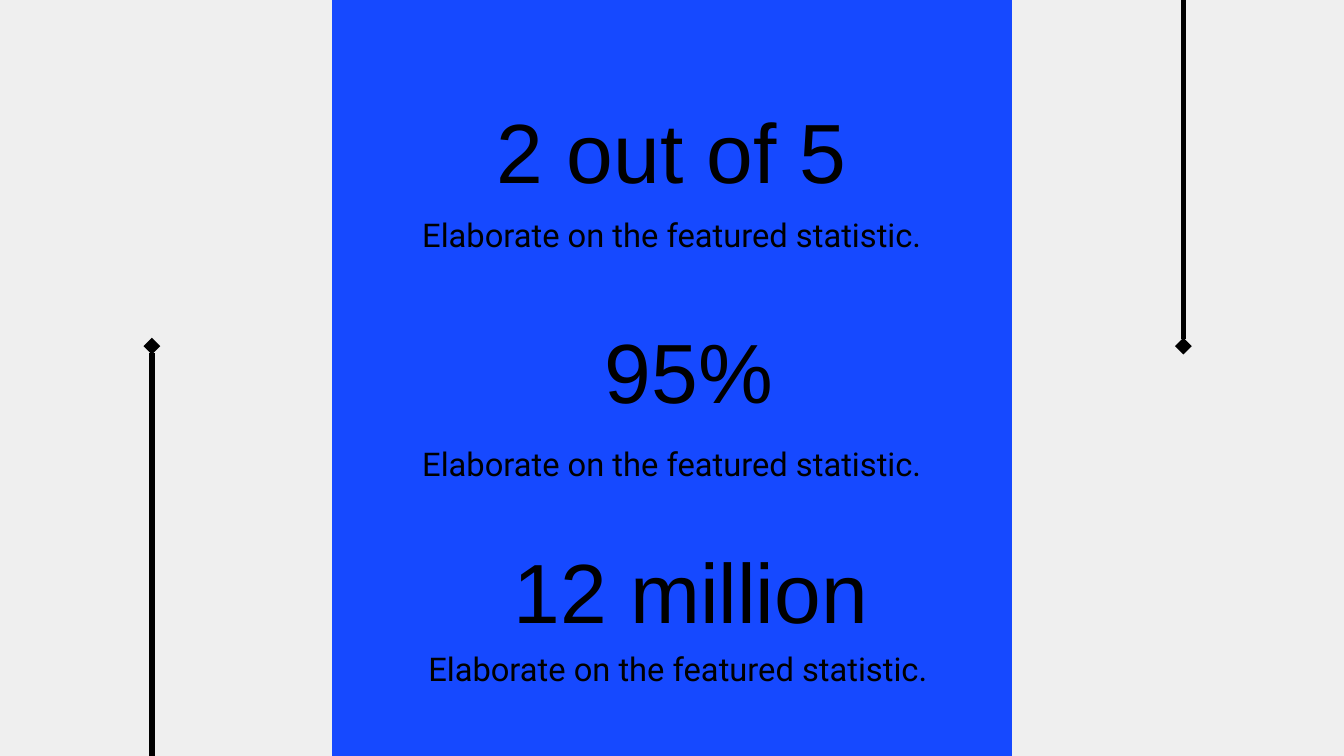
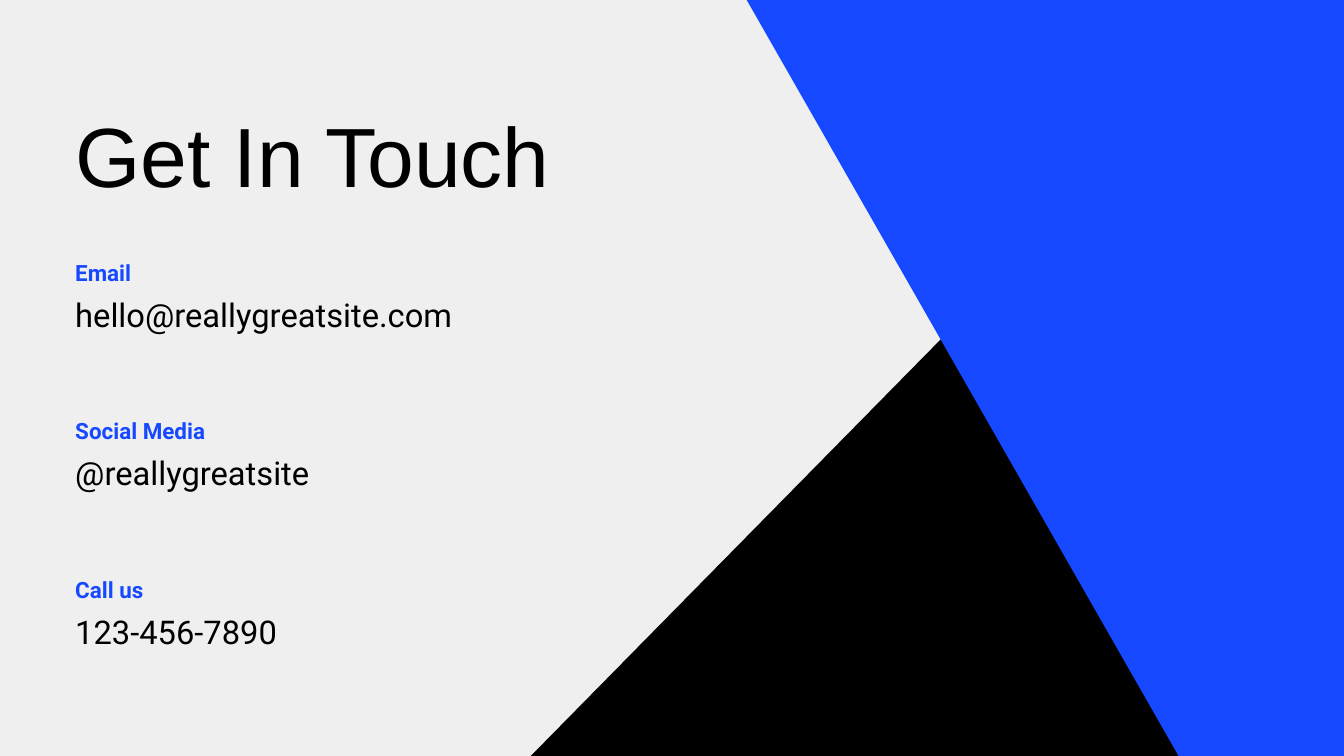
from lxml import etree
from pptx import Presentation, util as u
from pptx.dml.color import RGBColor
from pptx.enum import shapes, text
from pptx.oxml import ns

WIDTH, HEIGHT = 20, 11.25
PAPER, BLUE, BLACK = "EFEFEF", "1649FF", "000000"
DISPLAY, BODY = "Arial", "Roboto"
DISPLAY_SIZE, BODY_SIZE, LABEL_SIZE = 90, 35, 24


def color(hex_code):
    return RGBColor.from_string(hex_code)


def new_slide(deck):
    slide = deck.slides.add_slide(deck.slide_layouts[6])
    slide.background.fill.solid()
    slide.background.fill.fore_color.rgb = color(PAPER)
    return slide


def add_text(slide, box, words, size, font=BODY, hue=BLACK, spacing=1.4,
             centered=False, bold=False, inset=0, middle=False):
    holder = slide.shapes.add_textbox(*map(u.Inches, box))
    frame = holder.text_frame
    frame.word_wrap = True
    frame.margin_left = frame.margin_right = u.Inches(inset)
    frame.margin_top = frame.margin_bottom = u.Inches(inset)
    if middle:
        frame.vertical_anchor = text.MSO_ANCHOR.MIDDLE
    else:
        frame.auto_size = text.MSO_AUTO_SIZE.SHAPE_TO_FIT_TEXT
    line = frame.paragraphs[0]
    line.text = words
    line.alignment = text.PP_ALIGN.CENTER if centered else text.PP_ALIGN.LEFT
    line.line_spacing = spacing
    line.font.name, line.font.size = font, u.Pt(size)
    line.font.bold = bold
    line.font.color.rgb = color(hue)


def add_polygon(slide, corners, hue):
    points = [(u.Inches(x), u.Inches(y)) for x, y in corners]
    builder = slide.shapes.build_freeform(*points[0])
    builder.add_line_segments(points[1:], close=True)
    polygon = builder.convert_to_shape()
    polygon.shadow.inherit = False
    polygon.fill.solid()
    polygon.fill.fore_color.rgb = color(hue)
    polygon.line.fill.background()


def add_diamond_line(slide, x, start, end):
    rule = slide.shapes.add_connector(
        shapes.MSO_CONNECTOR.STRAIGHT, *map(u.Inches, (x, start, x, end)))
    rule.line.color.rgb = color(BLACK)
    rule.line.width = u.Pt(6)
    outline = rule.line._get_or_add_ln()
    for tip in ("a:headEnd", "a:tailEnd"):
        etree.SubElement(outline, ns.qn(tip), type="diamond")
    etree.SubElement(rule._element.spPr, ns.qn("a:effectLst"))


def add_panel(slide, box):
    left, top, width, height = box
    right, bottom = left + width, top + height
    add_polygon(slide, [(left, top), (right, top), (right, bottom), (left, bottom)], BLUE)


def add_statistic(slide, box, figure, figure_shift, caption_shift, caption_drop):
    left, top, width, height = box
    add_text(slide, (left + figure_shift, top, width, height), figure, DISPLAY_SIZE,
             DISPLAY, spacing=1.5, centered=True, inset=0.28, middle=True)
    add_text(slide, (left + caption_shift, top + caption_drop, width, 0.59),
             "Elaborate on the featured statistic.", BODY_SIZE, spacing=1.2, centered=True)


def add_contact(slide, box, label, detail):
    left, top, width = box
    add_text(slide, (left, top, width, 0.47), label, LABEL_SIZE, hue=BLUE,
             spacing=1.5, bold=True)
    add_text(slide, (left, top + 0.5, width, 0.65), detail, BODY_SIZE)


def statistics_slide(deck):
    slide = new_slide(deck)
    panel = (4.94, 0, 10.12, HEIGHT)
    add_panel(slide, panel)
    statistics = [
        ("2 out of 5", 0, 0, 3.47),
        ("95%", 0.25, 0, 3.6),
        ("12 million", 0.28, 0.09, 3.37),
    ]
    for row, statistic in enumerate(statistics):
        box = (panel[0] + 1.06, -0.39 + row * 3.28, 8, 4.48)
        add_statistic(slide, box, *statistic)
    add_diamond_line(slide, 2.26, 12.25, 5.15)
    add_diamond_line(slide, 17.61, 5.15, -1.95)


def contact_slide(deck):
    slide = new_slide(deck)
    margin = 1.12
    add_text(slide, (margin, 0.94, 8.88, 1.69), "Get In Touch", DISPLAY_SIZE, DISPLAY)
    contacts = [
        ("Email", "hello@reallygreatsite.com"),
        ("Social Media", "@reallygreatsite"),
        ("Call us", "123-456-7890"),
    ]
    for row, contact in enumerate(contacts):
        add_contact(slide, (margin, 3.65 + row * 2.36, 7.7), *contact)
    add_polygon(slide, [(4.07, 15.14), (20.33, 19.2), (15.83, 3.19)], BLACK)
    add_polygon(slide, [(18.87, 13.58), (27.45, -1.42), (10.3, -1.42)], BLUE)


def main():
    deck = Presentation()
    deck.slide_width, deck.slide_height = u.Inches(WIDTH), u.Inches(HEIGHT)
    statistics_slide(deck)
    contact_slide(deck)
    deck.save("out.pptx")


if __name__ == "__main__":
    main()
